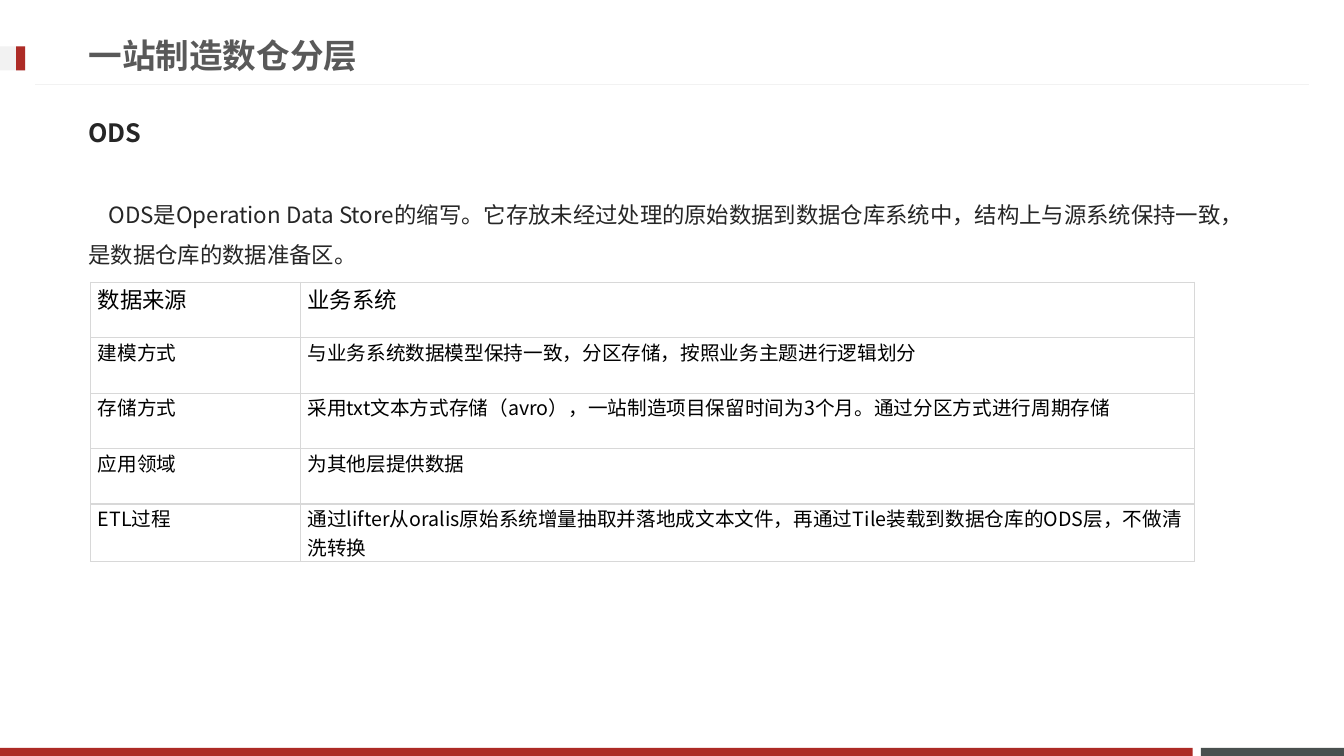
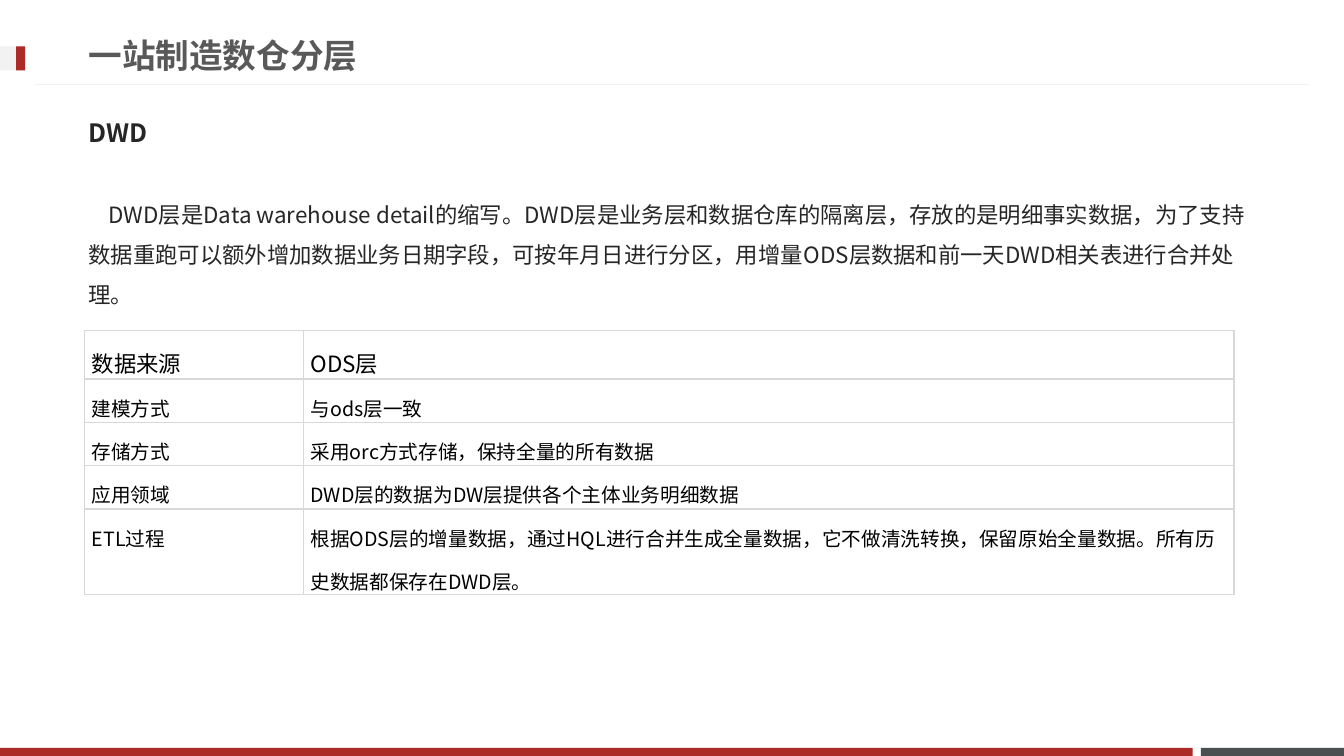
from lxml.etree import SubElement
from pptx import Presentation
from pptx.dml.color import RGBColor as RGB
from pptx.enum.shapes import MSO_CONNECTOR as Connector, MSO_SHAPE as Shape
from pptx.enum.text import MSO_ANCHOR as Anchor
from pptx.oxml.ns import qn
from pptx.util import Inches, Pt

COLORS = {
    "red": "AD2B26", "slate": "49504F", "pale": "F2F2F2", "rule": "D8D8D8",
    "title": "595959", "body": "262626", "cell": "000000", "white": "FFFFFF",
}
CJK, SC = "Noto Sans CJK JP", "Noto Sans CJK SC"

# Text styles: font attributes, east Asian face, colour
STYLES = {
    "title": ({"name": "Lato", "size": Pt(24), "bold": True}, SC, "title"),
    "heading": ({"name": CJK, "size": Pt(18), "bold": True}, CJK, "body"),
    "body": ({"name": CJK, "size": Pt(16), "bold": False}, CJK, "body"),
    "header": ({"name": SC, "size": Pt(16), "bold": False}, SC, "cell"),
    "cell": ({"name": SC, "size": Pt(14), "bold": False}, SC, "cell"),
}

# Boxes: left, top, width, height
TITLE_BOX = (0.78, 0.26, 9.59, 0.57)
HEADING_BOX = (0.78, 1.03, 11.7, 0.57)
INTRO_BOX = (0.78, 1.81, 11.7, 4.61)
MARKER_BOX = (0, 0.46, 0.25, 0.24)
FOOTER_BOX = (0, 7.42, 13.33, 0.08)

LAYERS = [
    {
        "heading": "ODS",
        "intro": "ODS是Operation Data Store的缩写。它存放未经过处理的原始数据到数据仓库系统中，"
                 "结构上与源系统保持一致，是数据仓库的数据准备区。",
        "origin": (0.9, 2.8), "columns": (2.08, 8.87),
        "heights": (0.55,) * 4 + (0.57,), "spacing": 1.0,
        "rows": [
            ("数据来源", "业务系统"),
            ("建模方式", "与业务系统数据模型保持一致，分区存储，按照业务主题进行逻辑划分"),
            ("存储方式", "采用txt文本方式存储（avro），一站制造项目保留时间为3个月。"
                     "通过分区方式进行周期存储"),
            ("应用领域", "为其他层提供数据"),
            ("ETL过程", "通过lifter从oralis原始系统增量抽取并落地成文本文件，"
                      "再通过Tile装载到数据仓库的ODS层，不做清洗转换"),
        ],
    },
    {
        "heading": "DWD",
        "intro": "DWD层是Data warehouse detail的缩写。DWD层是业务层和数据仓库的隔离层，"
                 "存放的是明细事实数据，为了支持数据重跑可以额外增加数据业务日期字段，"
                 "可按年月日进行分区，用增量ODS层数据和前一天DWD相关表进行合并处理。",
        "origin": (0.84, 3.28), "columns": (2.17, 9.23),
        "heights": (0.48,) + (0.43,) * 3 + (0.85,), "spacing": 1.5,
        "rows": [
            ("数据来源", "ODS层"),
            ("建模方式", "与ods层一致"),
            ("存储方式", "采用orc方式存储，保持全量的所有数据"),
            ("应用领域", "DWD层的数据为DW层提供各个主体业务明细数据"),
            ("ETL过程", "根据ODS层的增量数据，通过HQL进行合并生成全量数据，它不做清洗转换，"
                      "保留原始全量数据。所有历史数据都保存在DWD层。"),
        ],
    },
]


def color(name):
    return RGB.from_string(COLORS[name])


def set_all(target, values):
    for attribute, value in values.items():
        setattr(target, attribute, value)


def write(frame, text, style, **paragraph_format):
    """Fill the first paragraph of a text frame in a named style."""
    font_values, east_asian, tint = STYLES[style]
    paragraph = frame.paragraphs[0]
    set_all(paragraph, paragraph_format)
    run = paragraph.add_run()
    run.text = text
    set_all(run.font, font_values)
    run.font.color.rgb = color(tint)
    SubElement(run.font._element, qn("a:ea"), typeface=east_asian)
    return paragraph


def add_text(slide, box, text, style, anchor, **paragraph_format):
    frame = slide.shapes.add_textbox(*map(Inches, box)).text_frame
    set_all(frame, {"word_wrap": True, "vertical_anchor": anchor})
    return write(frame, text, style, **paragraph_format)


def add_bar(slide, box, fill):
    bar = slide.shapes.add_shape(Shape.RECTANGLE, *map(Inches, box))
    bar.shadow.inherit = False
    bar.fill.solid()
    bar.fill.fore_color.rgb = color(fill)
    bar.line.fill.background()


def add_footer(slide, box):
    left, top, width, height = box
    slate_width, gap = 1.42, 0.08
    add_bar(slide, (left + width - slate_width, top, slate_width, height), "slate")
    add_bar(slide, (left, top, width - slate_width - gap, height), "red")


def add_marker(slide, box):
    left, top, width, height = box
    red_width = 0.09
    add_bar(slide, box, "pale")
    add_bar(slide, (left + width - red_width, top, red_width, height), "red")


def add_title_rule(slide, left, right, top):
    ends = map(Inches, (right, top, left, top))
    rule = slide.shapes.add_connector(Connector.STRAIGHT, *ends)
    rule.line.color.rgb = color("pale")
    rule.line.width = Pt(0.75)
    SubElement(rule._element.spPr, qn("a:effectLst"))


def add_frame(slide):
    """Footer, title rule, marker and title shared by all slides."""
    add_footer(slide, FOOTER_BOX)
    add_title_rule(slide, 0.35, 12.98, 0.84)
    add_marker(slide, MARKER_BOX)
    add_text(slide, TITLE_BOX, "一站制造数仓分层", "title", Anchor.MIDDLE)


def add_intro(slide, box, text):
    intro = add_text(slide, box, text, "body", Anchor.TOP,
                     line_spacing=1.5, space_before=Pt(3.2))
    # First-line indent, and no punctuation beyond the right edge
    properties = intro._p.get_or_add_pPr()
    properties.set("indent", str(Inches(0.2)))
    properties.set("hangingPunct", "0")


def add_borders(cell):
    properties = cell._tc.get_or_add_tcPr()
    for side in ("lnL", "lnR", "lnT", "lnB"):
        line = SubElement(properties, qn(f"a:{side}"), w=str(Pt(1)))
        fill = SubElement(line, qn("a:solidFill"))
        SubElement(fill, qn("a:srgbClr"), val=COLORS["rule"])


def add_layer_table(slide, origin, columns, heights, rows, spacing):
    box = (*origin, sum(columns), sum(heights))
    table = slide.shapes.add_table(len(rows), len(columns), *map(Inches, box)).table
    set_all(table, {"first_row": False, "horz_banding": False})
    for column, width in zip(table.columns, columns):
        column.width = Inches(width)
    for index, (row, height, texts) in enumerate(zip(table.rows, heights, rows)):
        row.height = Inches(height)
        for cell, text in zip(row.cells, texts):
            set_all(cell, {"margin_left": Inches(0.07), "margin_right": Inches(0.07),
                           "margin_top": 0, "margin_bottom": 0})
            # Borders precede the fill in the cell properties
            add_borders(cell)
            cell.fill.solid()
            cell.fill.fore_color.rgb = color("white")
            write(cell.text_frame, text, "cell" if index else "header",
                  line_spacing=spacing)


def add_layer_slide(deck, layer):
    slide = deck.slides.add_slide(deck.slide_layouts[6])
    add_frame(slide)
    add_text(slide, HEADING_BOX, layer["heading"], "heading", Anchor.MIDDLE,
             space_before=Pt(3.6))
    add_intro(slide, INTRO_BOX, layer["intro"])
    add_layer_table(slide, layer["origin"], layer["columns"], layer["heights"],
                    layer["rows"], layer["spacing"])


def main():
    deck = Presentation()
    set_all(deck, {"slide_width": Inches(13.33), "slide_height": Inches(7.5)})
    for layer in LAYERS:
        add_layer_slide(deck, layer)
    deck.save("out.pptx")


if __name__ == "__main__":
    main()
